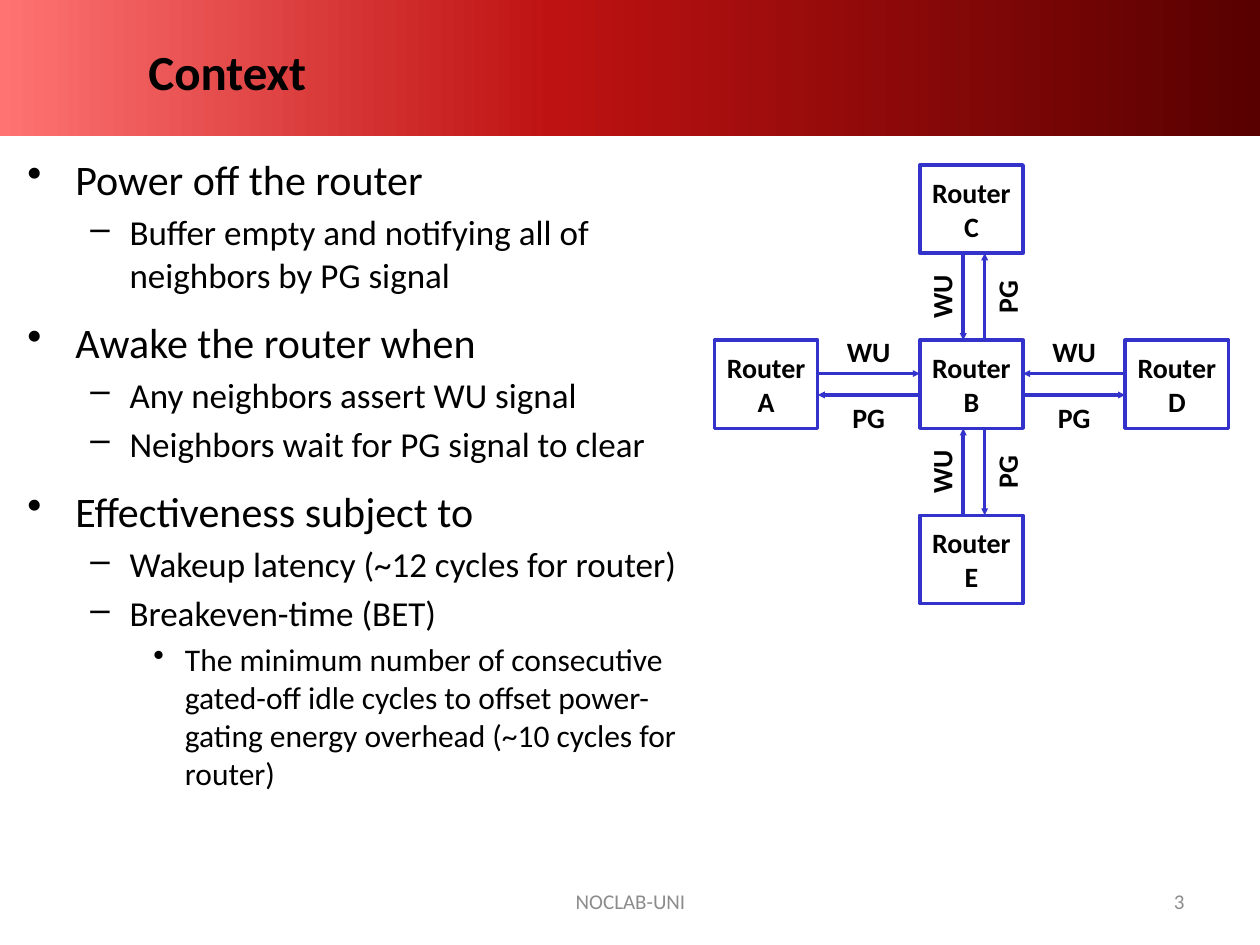
from copy import deepcopy
from dataclasses import dataclass

from pptx import Presentation
from pptx.dml.color import RGBColor
from pptx.enum import shapes, text
from pptx.oxml.ns import qn
from pptx.util import Inches, Pt


@dataclass(frozen=True)
class Theme:
    """Colours, font and type sizes of the slide."""
    font: str = "Calibri"
    ink: str = "000000"
    muted: str = "8C8C8C"
    paper: str = "FFFFFF"
    wire: str = "3333CC"
    banner: tuple = ((0, "FF7373"), (0.44, "BE1212"), (1, "580000"))
    title: int = 28
    levels: tuple = (24, 20, 18)
    diagram: int = 16
    footer: int = 12
    stroke: int = 2


THEME = Theme()
ALIGN = text.PP_ALIGN
# Per level: left margin, hanging indent, bullet
OUTLINE = ((0.38, 0.38, "•"), (0.81, 0.31, "–"), (1.25, 0.25, "•"))
# Level, wording, space before in points (None: a fifth of the type size)
POINTS = (
    (0, "Power off the router", None),
    (1, "Buffer empty and notifying all of neighbors by PG signal", None),
    (0, "Awake the router when", 12),
    (1, "Any neighbors assert WU signal", None),
    (1, "Neighbors wait for PG signal to clear", None),
    (0, "Effectiveness subject to", 12),
    (1, "Wakeup latency (~12 cycles for router)", None),
    (1, "Breakeven-time (BET)", None),
    (2, "The minimum number of consecutive gated-off idle cycles to offset "
        "power-gating energy overhead (~10 cycles for router)", None),
)
# Neighbor name and its direction from the centre router
NEIGHBORS = (("A", -1, 0), ("D", 1, 0), ("C", 0, -1), ("E", 0, 1))


def rgb(code):
    """Turn a hex code into a colour."""
    return RGBColor.from_string(code)


def add_run(paragraph, words, size, color=THEME.ink, bold=False):
    """Append one styled run."""
    run = paragraph.add_run()
    run.text = words
    run.font.name, run.font.size, run.font.bold = THEME.font, Pt(size), bold
    run.font.color.rgb = rgb(color)


def fill_frame(frame, lines, size, color=THEME.ink, bold=False, align=ALIGN.CENTER, inset=None):
    """Write one paragraph per line, centred vertically."""
    frame.word_wrap = True
    frame.vertical_anchor = text.MSO_ANCHOR.MIDDLE
    if inset is not None:
        frame.margin_left = frame.margin_right = Inches(inset)
        frame.margin_top = frame.margin_bottom = Inches(inset)
    for i, words in enumerate(lines):
        paragraph = frame.add_paragraph() if i else frame.paragraphs[0]
        paragraph.alignment = align
        add_run(paragraph, words, size, color, bold)


def add_label(slide, box, words, size, **style):
    """Place a one-line text box."""
    label = slide.shapes.add_textbox(*map(Inches, box))
    fill_frame(label.text_frame, [words], size, **style)
    return label


def add_banner(slide, box, title):
    """Draw the gradient band and its title."""
    left, top, width, height = box
    band = slide.shapes.add_shape(shapes.MSO_SHAPE.RECTANGLE, *map(Inches, box))
    band.shadow.inherit = False
    band.line.fill.background()
    band.fill.gradient()
    band.fill.gradient_angle = 0
    first = band.fill.gradient_stops[0]._gs
    first.addnext(deepcopy(first))
    for stop, (position, color) in zip(band.fill.gradient_stops, THEME.banner):
        stop.position = position
        stop.color.rgb = rgb(color)
    add_label(slide, (left + 1.08, top + 0.17, width - 1.58, height - 0.3), title,
              THEME.title, bold=True, align=ALIGN.LEFT)


def add_outline(slide, box, points):
    """Write the bulleted outline."""
    frame = slide.shapes.add_textbox(*map(Inches, box)).text_frame
    frame.word_wrap = True
    for i, (level, words, before) in enumerate(points):
        margin, hang, mark = OUTLINE[level]
        size = THEME.levels[level]
        paragraph = frame.add_paragraph() if i else frame.paragraphs[0]
        paragraph.level = level
        paragraph.space_before = Pt(before or size * 0.2)
        props = paragraph._p.get_or_add_pPr()
        props.set("marL", str(Inches(margin)))
        props.set("indent", str(-Inches(hang)))
        bullet = props.makeelement(qn("a:buChar"), {"char": mark})
        props.append(bullet)
        add_run(paragraph, words, size)


def add_router(slide, center, size, name):
    """Draw a router box around its centre."""
    (x, y), (width, height) = center, size
    router = slide.shapes.add_shape(
        shapes.MSO_SHAPE.RECTANGLE,
        *map(Inches, (x - width / 2, y - height / 2, width, height)))
    router.shadow.inherit = False
    router.fill.solid()
    router.fill.fore_color.rgb = rgb(THEME.paper)
    router.line.color.rgb = rgb(THEME.wire)
    router.line.width = Pt(THEME.stroke)
    fill_frame(router.text_frame, ["Router", name], THEME.diagram, bold=True, inset=0)


def add_arrow(slide, start, end):
    """Draw a signal arrow from start to end."""
    arrow = slide.shapes.add_connector(
        shapes.MSO_CONNECTOR.STRAIGHT, *map(Inches, (*start, *end)))
    arrow.line.color.rgb = rgb(THEME.wire)
    arrow.line.width = Pt(THEME.stroke)
    line = arrow.line._get_or_add_ln()
    line.append(line.makeelement(qn("a:tailEnd"), {"type": "triangle", "w": "sm", "len": "sm"}))
    props = arrow._element.spPr
    props.append(props.makeelement(qn("a:effectLst"), {}))


def add_signals(slide, hub, size, pitch, dx, dy):
    """Draw the WU and PG arrows between the hub and one neighbor."""
    (x, y), (width, height) = hub, size
    near = (x + dx * width / 2, y + dy * height / 2)
    far = (x + dx * (pitch[0] - width / 2), y + dy * (pitch[1] - height / 2))
    for name, side in (("WU", -1), ("PG", 1)):
        # Lanes run side by side, across the direction of the link
        lane = 0.085 * side + (0.02 if dy else 0)
        shift = (lane if dy else 0, lane if dx else 0)
        inner, outer = ((px + shift[0], py + shift[1]) for px, py in (near, far))
        add_arrow(slide, *((outer, inner) if name == "WU" else (inner, outer)))
        middle_x = (inner[0] + outer[0]) / 2 + (0.175 * side if dy else 0)
        middle_y = (inner[1] + outer[1]) / 2 + (0.175 * side if dx else 0)
        length = 0.53 if dy else 0.64
        label = add_label(slide, (middle_x - length / 2, middle_y - 0.175, length, 0.35),
                          name, THEME.diagram, bold=True, inset=0)
        label.rotation = 270 if dy else 0


def add_network(slide, box):
    """Draw router B with a neighbor on each side."""
    left, top, width, height = box
    size = (0.82, 0.7)
    hub = (left + width / 2, top + height / 2)
    pitch = ((width - size[0]) / 2, (height - size[1]) / 2)
    for _, dx, dy in NEIGHBORS:
        add_signals(slide, hub, size, pitch, dx, dy)
    for name, dx, dy in (("B", 0, 0), *NEIGHBORS):
        add_router(slide, (hub[0] + dx * pitch[0], hub[1] + dy * pitch[1]), size, name)


def add_footer(slide, box, owner, number):
    """Write the owner in the middle and the slide number at the right."""
    left, top, width, height = box
    add_label(slide, (left, top, 3.17, height), owner, THEME.footer, color=THEME.muted)
    add_label(slide, (left + width - 2.33, top, 2.33, height), number, THEME.footer,
              color=THEME.muted, align=ALIGN.RIGHT)


def build():
    """Assemble and save the slide."""
    deck = Presentation()
    deck.slide_width, deck.slide_height = Inches(10), Inches(7.5)
    slide = deck.slides.add_slide(deck.slide_layouts[6])
    add_banner(slide, (0, 0, 10, 1.08), "Context")
    add_outline(slide, (0.12, 1.17, 5.54, 5.5), POINTS)
    add_network(slide, (5.67, 1.31, 4.08, 3.48))
    add_footer(slide, (3.42, 6.95, 6.08, 0.4), "NOCLAB-UNI", "3")
    deck.save("out.pptx")


build()
